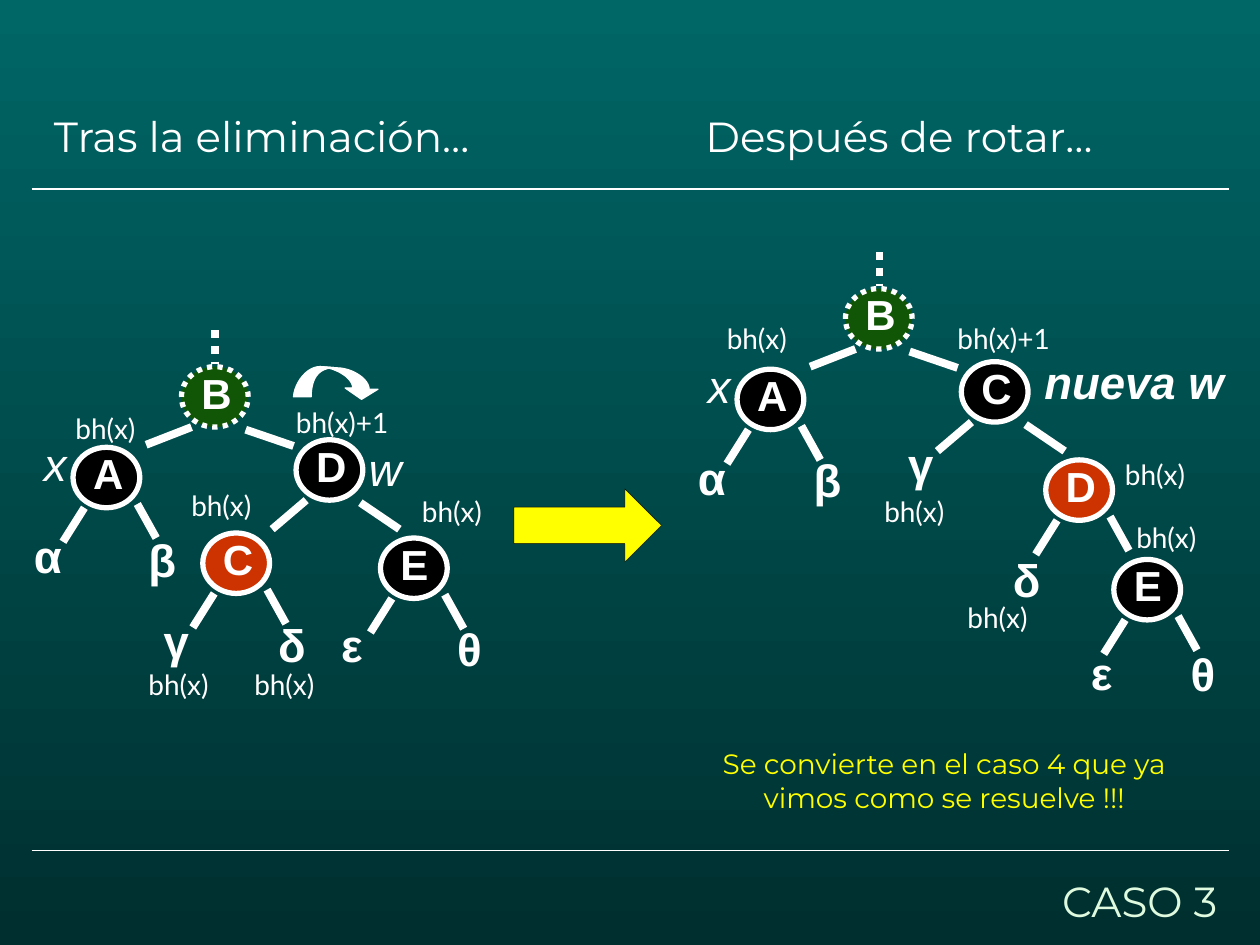
"""Build the slide for case 3 of a red-black tree deletion."""
from typing import NamedTuple, Optional

import pptx
import pptx.dml.color
import pptx.enum.dml
import pptx.enum.shapes
import pptx.enum.text
import pptx.util
from pptx.util import Inches

WHITE, YELLOW, BLACK = "FFFFFF", "FFFF00", "000000"
RED, GREEN, MINT = "CC3300", "115606", "DFFADE"
ALIGN = pptx.enum.text.PP_ALIGN
SHAPE = pptx.enum.shapes.MSO_SHAPE
DOTS = pptx.enum.dml.MSO_LINE.ROUND_DOT


class Style(NamedTuple):
    font: str
    size: int
    color: str = WHITE
    bold: bool = False
    italic: bool = False
    align: ALIGN = ALIGN.LEFT
    spacing: Optional[float] = None


class Label(NamedTuple):
    text: str
    x: float
    y: float
    w: float
    h: float
    style: Style


class Node(NamedTuple):
    name: str
    x: float
    y: float
    fill: str
    branches: str


HEADING = Style("Montserrat", 24)
FOOTER = Style("Montserrat", 24, MINT, align=ALIGN.RIGHT)
REMARK = Style("Montserrat", 16, YELLOW, align=ALIGN.CENTER)
HEIGHT = Style("Lato", 16)
NODE = Style("Arial", 24, bold=True, spacing=0.93)
SUBTREE = Style("Arial", 26, bold=True)
POINTER = Style("Arial", 26, italic=True, spacing=0.93)
NEW_POINTER = Style("Arial", 26, bold=True, italic=True, spacing=0.93)

BRANCHES = {
    "root": [(0.08, 0.48, -0.28, 0.62), (0.51, 0.5, 0.89, 0.63)],
    "inner": [(0.08, 0.48, -0.19, 0.71), (0.51, 0.5, 0.82, 0.71)],
    "leaf": [(0.09, 0.48, -0.08, 0.75), (0.51, 0.45, 0.66, 0.72)],
}
NODES = [
    Node("B", 1.44, 2.91, GREEN, "root"),
    Node("A", 0.58, 3.55, BLACK, "leaf"),
    Node("D", 2.35, 3.49, BLACK, "inner"),
    Node("C", 1.61, 4.23, RED, "leaf"),
    Node("E", 3.02, 4.27, BLACK, "leaf"),
    Node("B", 6.71, 2.29, GREEN, "root"),
    Node("A", 5.85, 2.93, BLACK, "leaf"),
    Node("C", 7.63, 2.87, BLACK, "inner"),
    Node("D", 8.3, 3.65, RED, "leaf"),
    Node("E", 8.84, 4.44, BLACK, "leaf"),
]
SUBTREES = [
    ("α", 0.17, 4.14), ("β", 1.08, 4.17), ("γ", 1.2, 4.82),
    ("δ", 2.11, 4.85), ("ε", 2.61, 4.85), ("θ", 3.53, 4.88),
    ("α", 5.44, 3.52), ("β", 6.36, 3.54), ("γ", 7.11, 3.41),
    ("δ", 7.94, 4.33), ("ε", 8.56, 5.07), ("θ", 9.35, 5.08),
]
HEIGHTS = [
    ("bh(x)", 0.5, 3.22), ("bh(x)+1", 2.25, 3.17), ("bh(x)", 1.42, 3.83),
    ("bh(x)", 3.25, 3.88), ("bh(x)", 1.08, 5.25), ("bh(x)", 1.92, 5.25),
    ("bh(x)", 5.67, 2.5), ("bh(x)+1", 7.5, 2.5), ("bh(x)", 6.92, 3.88),
    ("bh(x)", 8.83, 3.58), ("bh(x)", 8.92, 4.08), ("bh(x)", 7.58, 4.72),
]
LABELS = [
    Label("Tras la eliminación…", 0.33, 0.83, 4.08, 0.5, HEADING),
    Label("Después de rotar…", 5.5, 0.83, 4.42, 0.5, HEADING),
    Label("x", 0.25, 3.45, 0.5, 0.51, POINTER),
    Label("w", 2.83, 3.49, 0.58, 0.51, POINTER),
    Label("x", 5.52, 2.83, 0.5, 0.51, POINTER),
    Label("nueva w", 8.19, 2.8, 1.7, 0.51, NEW_POINTER),
    Label("Se convierte en el caso 4 que ya vimos como se resuelve !!!",
          5.33, 5.88, 4.33, 0.64, REMARK),
    Label("CASO 3", 5.68, 6.9, 4.08, 0.5, FOOTER),
]
ROTATION_TAIL = [
    (2.33, 3.15), (2.34, 3.03, 2.44, 2.91, 2.54, 2.91), (2.67, 2.92),
    (2.51, 2.91, 2.47, 3.03, 2.47, 3.15),
]
ROTATION_HEAD = [
    (2.67, 2.92), (2.8, 2.92, 2.93, 3.01, 2.93, 3.09), (3, 3.09),
    (2.87, 3.17), (2.74, 3.08), (2.8, 3.08),
    (2.8, 3, 2.67, 2.92, 2.54, 2.91),
]


def rgb(value: str) -> pptx.dml.color.RGBColor:
    return pptx.dml.color.RGBColor.from_string(value)


def paint(sp, fill: str, line: str, width: float) -> None:
    sp.shadow.inherit = False
    sp.fill.solid()
    sp.fill.fore_color.rgb = rgb(fill)
    sp.line.color.rgb = rgb(line)
    sp.line.width = pptx.util.Pt(width)


def add_label(s, label: Label) -> None:
    box = s.shapes.add_textbox(*map(Inches, label[1:5]))
    tf = box.text_frame
    tf.word_wrap = True
    tf.auto_size = pptx.enum.text.MSO_AUTO_SIZE.SHAPE_TO_FIT_TEXT
    tf.text = label.text
    style = label.style
    p = tf.paragraphs[0]
    p.alignment = style.align
    p.line_spacing = style.spacing
    font = p.runs[0].font
    font.name, font.size = style.font, pptx.util.Pt(style.size)
    font.bold, font.italic = style.bold, style.italic
    font.color.rgb = rgb(style.color)


def add_line(s, x1: float, y1: float, x2: float, y2: float,
             width: float = 4.5, dash=None) -> None:
    line = s.shapes.add_connector(
        pptx.enum.shapes.MSO_CONNECTOR.STRAIGHT, *map(Inches, (x1, y1, x2, y2)))
    line.line.color.rgb = rgb(WHITE)
    line.line.width = pptx.util.Pt(width)
    line.line.dash_style = dash
    sp_pr = line._element.spPr
    sp_pr.append(sp_pr.makeelement(pptx.oxml.ns.qn("a:effectLst"), {}))


def add_node(s, node: Node) -> None:
    x, y = node.x, node.y
    for x1, y1, x2, y2 in BRANCHES[node.branches]:
        add_line(s, x + x1, y + y1, x + x2, y + y2)
    sp = s.shapes.add_shape(SHAPE.OVAL, *map(Inches, (x, y, 0.53, 0.48)))
    paint(sp, node.fill, WHITE, 3)
    if node.branches == "root":
        sp.line.dash_style = DOTS
        add_line(s, x + 0.27, y - 0.29, x + 0.27, y - 0.02, dash=DOTS)
    add_label(s, Label(node.name, x + 0.06, y - 0.01, 0.48, 0.47, NODE))


def bezier(a: float, b: float, c: float, d: float, t: float) -> float:
    u = 1 - t
    return u**3 * a + 3 * u * u * t * b + 3 * u * t * t * c + t**3 * d


def add_outline(s, steps: list, pieces: int = 12) -> None:
    points = [steps[0]]
    for step in steps[1:]:
        if len(step) == 2:
            points.append(step)
            continue
        x0, y0 = points[-1]
        points += [(bezier(x0, *step[::2], i / pieces),
                    bezier(y0, *step[1::2], i / pieces))
                   for i in range(1, pieces + 1)]
    corners = [(Inches(x), Inches(y)) for x, y in points]
    builder = s.shapes.build_freeform(*corners[0])
    builder.add_line_segments(corners[1:], close=True)
    paint(builder.convert_to_shape(), WHITE, WHITE, 0.75)


def main() -> None:
    prs = pptx.Presentation()
    prs.slide_width, prs.slide_height = Inches(10), Inches(7.5)
    s = prs.slides.add_slide(prs.slide_layouts[6])
    fill = s.background.fill
    fill.gradient()
    fill.gradient_angle = 270
    for stop, color in zip(fill.gradient_stops, ("006666", "002F2F")):
        stop.color.rgb = rgb(color)
    for y in (1.5, 6.75):
        add_line(s, 0.25, y, 9.75, y, 0.75)
    arrow = s.shapes.add_shape(
        SHAPE.RIGHT_ARROW, *map(Inches, (4.08, 3.88, 1.17, 0.58)))
    paint(arrow, YELLOW, BLACK, 0.25)
    for node in NODES:
        add_node(s, node)
    for outline in (ROTATION_TAIL, ROTATION_HEAD):
        add_outline(s, outline)
    labels = [Label(*item, 0.42, 0.54, SUBTREE) for item in SUBTREES]
    labels += [Label(*item, 1.08, 0.37, HEIGHT) for item in HEIGHTS]
    for label in labels + LABELS:
        add_label(s, label)
    prs.save("out.pptx")


if __name__ == "__main__":
    main()
